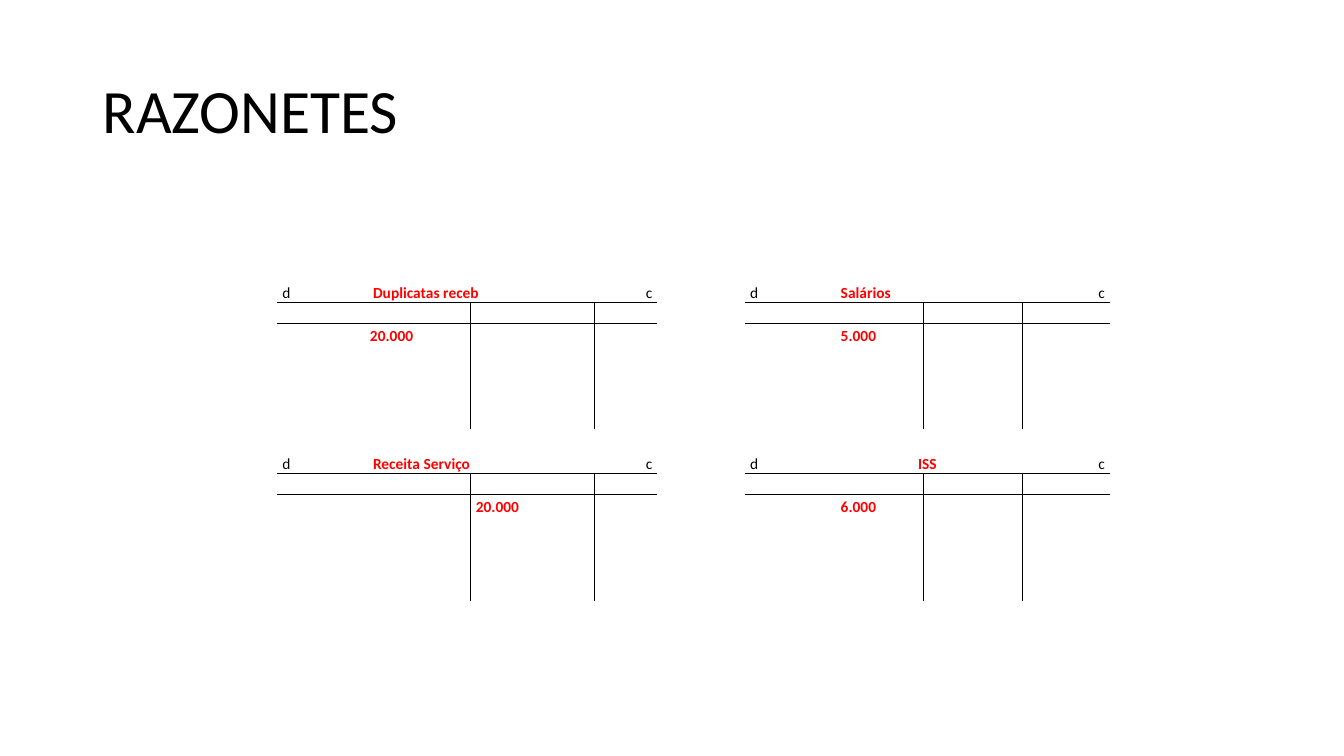
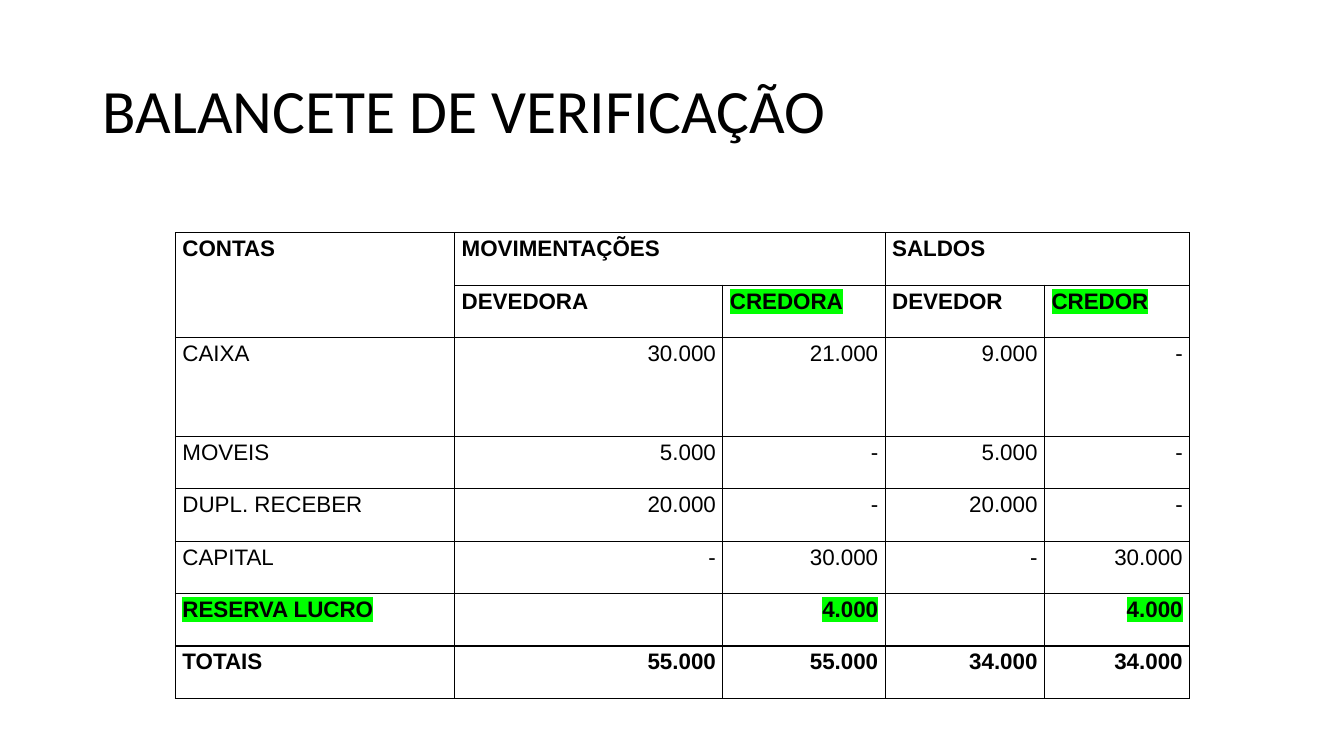
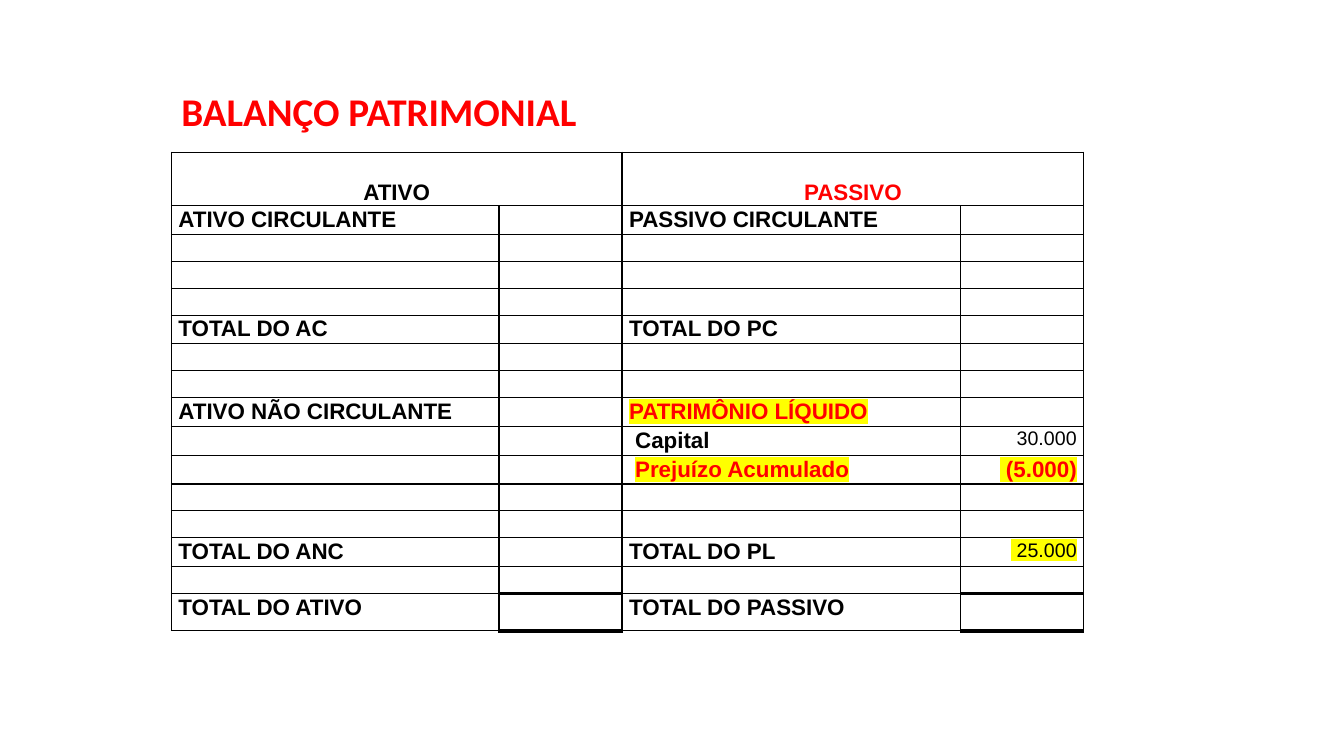
from collections.abc import Callable
from dataclasses import dataclass, field

import lxml.etree
import pptx
import pptx.dml.color
import pptx.enum.text
import pptx.oxml.ns
import pptx.slide
import pptx.table
import pptx.util

Inches = pptx.util.Inches
Pt = pptx.util.Pt
qn = pptx.oxml.ns.qn
Align = pptx.enum.text.PP_ALIGN
Anchor = pptx.enum.text.MSO_ANCHOR

COLORS = {"ink": "000000", "red": "FF0000", "green": "00FF00", "yellow": "FFFF00"}
PLAIN_TABLE_STYLE = "{2D5ABB26-0587-4C30-8999-92F81FD0307C}"
LEDGER_ROWS = 7
LEDGER_COLUMNS = 5


@dataclass(frozen=True)
class Entry:
    text: str = ""
    align: Align = Align.LEFT
    bold: bool = False
    color: str = "ink"
    highlight: str | None = None
    size: float | None = None
    indent: float = 0
    anchor: Anchor | None = None


@dataclass(frozen=True)
class CellStyle:
    font: str
    size: float
    line_spacing: float
    margin: float
    anchor: Anchor = Anchor.TOP
    space_after: float = 0


@dataclass(frozen=True)
class Ledger:
    row: int
    column: int
    account: Entry
    amount: Entry
    amount_column: int


Borders = dict[str, float]
Position = tuple[int, int]


@dataclass(frozen=True)
class Statement:
    """A table: its place, grid, entries by position, and merged ranges."""
    left: float
    top: float
    columns: list[float]
    rows: list[float]
    style: CellStyle
    borders: Callable[[int, int], Borders]
    entries: dict[Position, Entry]
    merges: list[tuple[Position, Position]] = field(default_factory=list)


def rgb(color: str) -> pptx.dml.color.RGBColor:
    return pptx.dml.color.RGBColor.from_string(COLORS[color])


def set_font(paragraph, name: str, size: float, color: str, bold: bool) -> None:
    paragraph.font.name = name
    paragraph.font.size = Pt(size)
    paragraph.font.bold = bold
    paragraph.font.color.rgb = rgb(color)


def add_title(slide: pptx.slide.Slide, text: str, left: float = 0.92, size: float = 44,
              color: str = "ink", bold: bool = False) -> None:
    title = slide.shapes.add_textbox(Inches(left), Inches(0.4), Inches(12.42 - left), Inches(1.45))
    frame = title.text_frame
    frame.word_wrap = True
    frame.vertical_anchor = Anchor.MIDDLE
    paragraph = frame.paragraphs[0]
    paragraph.text = text
    paragraph.line_spacing = 0.9
    set_font(paragraph, "Calibri", size, color, bold)


def add_highlight(run, color: str) -> None:
    highlight = lxml.etree.SubElement(run._r.get_or_add_rPr(), qn("a:highlight"))
    lxml.etree.SubElement(highlight, qn("a:srgbClr"), val=COLORS[color])


def set_borders(cell: pptx.table._Cell, borders: Borders) -> None:
    """Draw the given sides (L, R, T, B) with widths in points."""
    properties = cell._tc.get_or_add_tcPr()
    sides = [side for side in "LRTB" if side in borders]
    for index, side in enumerate(sides):
        line = lxml.etree.Element(qn(f"a:ln{side}"), w=str(Pt(borders[side])))
        fill = lxml.etree.SubElement(line, qn("a:solidFill"))
        lxml.etree.SubElement(fill, qn("a:srgbClr"), val=COLORS["ink"])
        properties.insert(index, line)


def fill_cell(cell: pptx.table._Cell, entry: Entry, style: CellStyle) -> None:
    cell.fill.background()
    cell.margin_left = Inches(style.margin + entry.indent)
    cell.margin_right = Inches(style.margin)
    cell.margin_top = cell.margin_bottom = 0
    cell.vertical_anchor = entry.anchor or style.anchor
    paragraph = cell.text_frame.paragraphs[0]
    paragraph.alignment = entry.align
    paragraph.line_spacing = style.line_spacing
    paragraph.space_after = Pt(style.space_after)
    size = entry.size or style.size
    if entry.text:
        run = paragraph.add_run()
        run.text = entry.text
        if entry.highlight:
            add_highlight(run, entry.highlight)
    else:
        lxml.etree.SubElement(paragraph._p, qn("a:endParaRPr"), sz=str(int(size * 100)))
    set_font(paragraph, style.font, size, entry.color, entry.bold)


def add_statement(slide: pptx.slide.Slide, statement: Statement) -> None:
    columns, rows = statement.columns, statement.rows
    table = slide.shapes.add_table(
        len(rows), len(columns), Inches(statement.left), Inches(statement.top),
        Inches(sum(columns)), Inches(sum(rows))).table
    table.first_row = table.horz_banding = False
    table._tbl.tblPr.find(qn("a:tableStyleId")).text = PLAIN_TABLE_STYLE
    for column, width in enumerate(columns):
        table.columns[column].width = Inches(width)
    for row, height in enumerate(rows):
        table.rows[row].height = Inches(height)
        for column in range(len(columns)):
            cell = table.cell(row, column)
            fill_cell(cell, statement.entries.get((row, column), Entry()), statement.style)
            set_borders(cell, statement.borders(row, column))
    for first, last in statement.merges:
        table.cell(*first).merge(table.cell(*last))


def ledger_borders(row: int, column: int) -> Borders:
    """Draw a T: a rule under the heading and a stem between debit and credit."""
    line, part = row % LEDGER_ROWS, column % LEDGER_COLUMNS
    if part == LEDGER_COLUMNS - 1:
        return {}
    if line == 0:
        return {"B": 1}
    stem = {1: {"R": 1}, 2: {"L": 1}}.get(part, {})
    return stem | ({"T": 1} if line == 1 else {})


def grid_borders(row: int, column: int) -> Borders:
    return dict.fromkeys("LRTB", 1)


def balance_borders(row: int, column: int) -> Borders:
    """Draw a grid with heavy rules around the final amounts."""
    borders = grid_borders(row, column)
    if column % 2 and row >= 14:
        borders["B"] = 3
        if row == 15:
            borders["T"] = 3
    return borders


def ledgers_statement() -> Statement:
    def red(text: str, indent: float = 0, align: Align = Align.LEFT) -> Entry:
        return Entry(text, align, bold=True, color="red", indent=indent)

    ledgers = [
        Ledger(0, 0, red("Duplicatas receb", 0.03), red("20.000"), 1),
        Ledger(0, 5, red("Salários", 0.03), red("5.000", 0.03), 1),
        Ledger(7, 0, red("Receita Serviço", 0.03), red("20.000"), 2),
        Ledger(7, 5, red("ISS", align=Align.CENTER), red("6.000", 0.03), 1),
    ]
    entries, merges = {}, []
    for ledger in ledgers:
        row, column = ledger.row, ledger.column
        entries[row, column] = Entry("d")
        entries[row, column + 1] = ledger.account
        entries[row, column + 3] = Entry("c", Align.RIGHT)
        entries[row + 2, column + ledger.amount_column] = ledger.amount
        merges.append(((row, column + 1), (row, column + 2)))
    return Statement(
        2.75, 2.56, [0.87, 1.05, 1.23, 0.62, 0.87, 0.87, 0.9, 0.98, 0.87],
        ([0.44] + [0.21] * (LEDGER_ROWS - 1)) * 2,
        CellStyle("Calibri", 11, 1.15, 0.05, Anchor.BOTTOM), ledger_borders, entries, merges)


def trial_balance_statement() -> Statement:
    lines = [
        ["CONTAS", "MOVIMENTAÇÕES", "", "SALDOS", ""],
        ["", "DEVEDORA", "CREDORA", "DEVEDOR", "CREDOR"],
        ["CAIXA", "30.000", "21.000", "9.000", "-"],
        ["MOVEIS", "5.000", "-", "5.000", "-"],
        ["DUPL. RECEBER", "20.000", "-", "20.000", "-"],
        ["CAPITAL", "-", "30.000", "-", "30.000"],
        ["RESERVA LUCRO", "", "4.000", "", "4.000"],
        ["TOTAIS", "55.000", "55.000", "34.000", "34.000"],
    ]
    highlighted = {"CREDORA", "CREDOR", "RESERVA LUCRO", "4.000"}
    entries = {
        (row, column): Entry(
            text,
            Align.RIGHT if row >= 2 and column else Align.LEFT,
            bold=row < 2 or row >= 6,
            highlight="green" if text in highlighted else None)
        for row, line in enumerate(lines) for column, text in enumerate(line)
    }
    return Statement(
        1.74, 2.31, [2.77, 2.66, 1.61, 1.58, 1.44], [0.52] * 2 + [0.98] + [0.52] * 5,
        CellStyle("Arial", 16, 1.15, 0.07, space_after=10), grid_borders, entries,
        [((0, 0), (1, 0)), ((0, 1), (0, 2)), ((0, 3), (0, 4))])


def balance_sheet_statement() -> Statement:
    labels = {
        (1, 0): "ATIVO CIRCULANTE", (1, 2): "PASSIVO CIRCULANTE",
        (5, 0): "TOTAL DO AC", (5, 2): "TOTAL DO PC",
        (8, 0): "ATIVO NÃO CIRCULANTE",
        (13, 0): "TOTAL DO ANC", (13, 2): "TOTAL DO PL",
        (15, 0): "TOTAL DO ATIVO", (15, 2): "TOTAL DO PASSIVO",
    }
    entries = {position: Entry(text, bold=True) for position, text in labels.items()}
    entries |= {
        (0, 0): Entry("ATIVO", Align.CENTER, True, anchor=Anchor.BOTTOM),
        (0, 2): Entry("PASSIVO", Align.CENTER, True, "red", anchor=Anchor.BOTTOM),
        (8, 2): Entry("PATRIMÔNIO LÍQUIDO", Align.LEFT, True, "red", "yellow"),
        (9, 2): Entry("Capital", bold=True, indent=0.06),
        (9, 3): Entry("30.000", Align.RIGHT, size=14),
        (10, 2): Entry("Prejuízo Acumulado", Align.LEFT, True, "red", "yellow", indent=0.06),
        (10, 3): Entry(" (5.000)", Align.RIGHT, True, "red", "yellow"),
        (13, 3): Entry(" 25.000", Align.RIGHT, highlight="yellow", size=14),
    }
    return Statement(
        1.7, 1.51, [3.25, 1.22, 3.36, 1.22], [0.53] + [0.26] * 14 + [0.37],
        CellStyle("Arial", 16, 1.07, 0.07), balance_borders, entries,
        [((0, 0), (0, 1)), ((0, 2), (0, 3))])


def main() -> None:
    presentation = pptx.Presentation()
    presentation.slide_width = Inches(13.33)
    presentation.slide_height = Inches(7.5)
    blank = presentation.slide_layouts[6]

    ledgers = presentation.slides.add_slide(blank)
    add_title(ledgers, "RAZONETES")
    add_statement(ledgers, ledgers_statement())

    trial_balance = presentation.slides.add_slide(blank)
    add_title(trial_balance, "BALANCETE DE VERIFICAÇÃO")
    add_statement(trial_balance, trial_balance_statement())

    balance_sheet = presentation.slides.add_slide(blank)
    add_title(balance_sheet, "BALANÇO PATRIMONIAL", left=1.7, size=28, color="red", bold=True)
    add_statement(balance_sheet, balance_sheet_statement())

    presentation.save("out.pptx")


if __name__ == "__main__":
    main()
